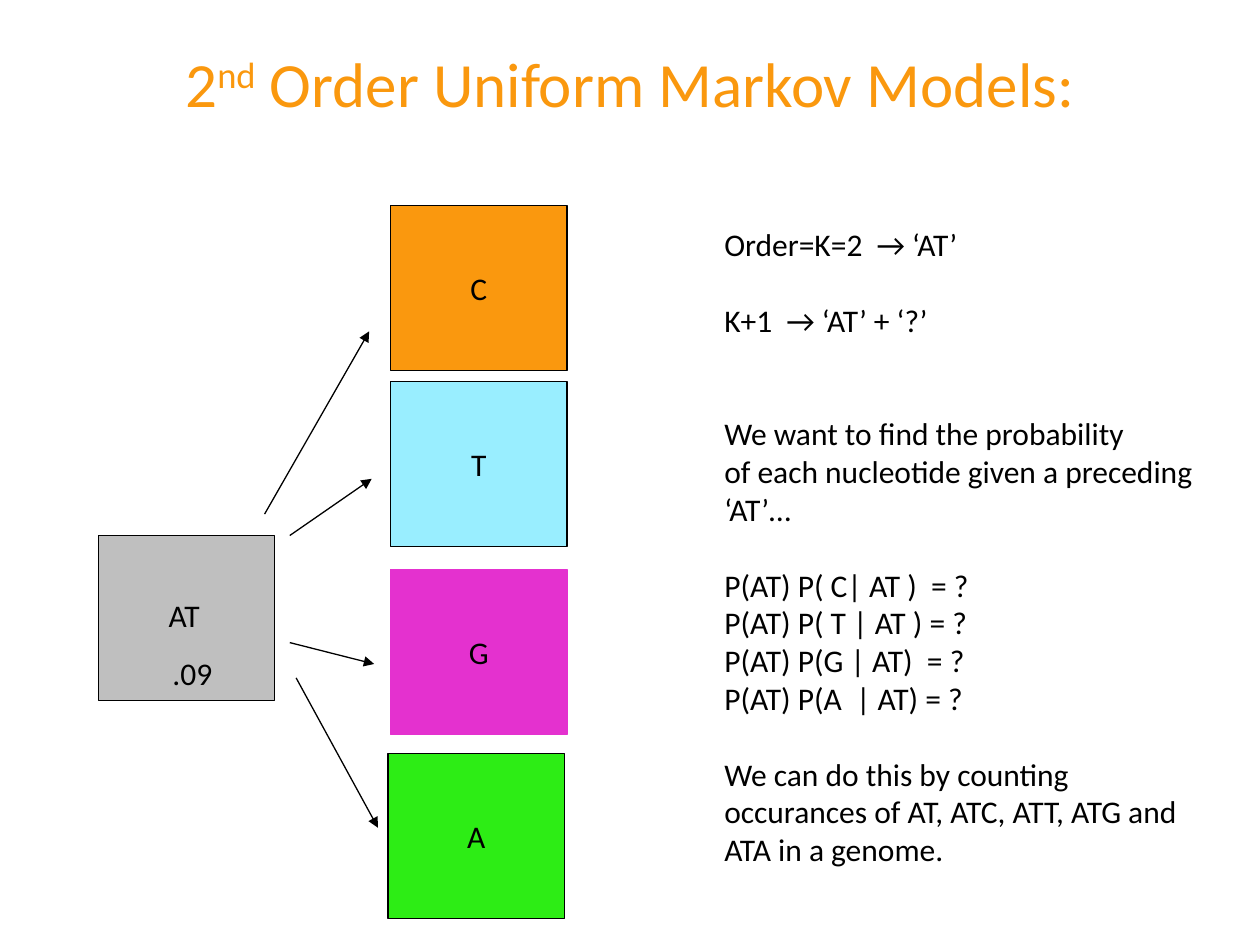
from pptx import Presentation
from pptx.dml.color import RGBColor
from pptx.enum.shapes import MSO_CONNECTOR, MSO_SHAPE
from pptx.enum.text import MSO_ANCHOR, PP_ALIGN
from pptx.oxml.ns import qn
from pptx.util import Inches, Pt
from lxml import etree

FONT = "Calibri"
BLACK = RGBColor(0x00, 0x00, 0x00)
GRAY = RGBColor(0xBF, 0xBF, 0xBF)
ORANGE = RGBColor(0xFA, 0x98, 0x0E)
CYAN = RGBColor(0x99, 0xEE, 0xFF)
MAGENTA = RGBColor(0xE4, 0x31, 0xCF)
GREEN = RGBColor(0x2D, 0xED, 0x15)

LINE_HEIGHT = 21.6
NODE_WIDTH, NODE_HEIGHT = Inches(1.4), Inches(1.31)

NUCLEOTIDES = [
    ("C", 2.32, 0, ORANGE, BLACK),
    ("T", 2.32, 1.4, CYAN, BLACK),
    ("G", 2.32, 2.89, MAGENTA, MAGENTA),
    ("A", 2.3, 4.35, GREEN, BLACK),
]
ARROWS = [
    (1.32, 2.45, 2.15, 1),
    (1.52, 2.62, 2.17, 2.17),
    (1.52, 3.47, 2.19, 3.64),
    (1.57, 3.75, 2.22, 4.94),
]
STATE_LABELS = [("AT", 0.46, 3.05, 0.52), (".09", 0.49, 3.51, 0.55)]

EXPLANATION = [
    ("Order=K=2  → ‘AT’", 0),
    ("K+1  → ‘AT’ + ‘?’", 1),
    ("We want to find the probability", 2),
    ("of each nucleotide given a preceding", 0),
    ("‘AT’…", 0),
    ("P(AT) P( C| AT )  = ?", 1),
    ("P(AT) P( T | AT ) = ?", 0),
    ("P(AT) P(G | AT)  = ?", 0),
    ("P(AT) P(A  | AT) = ?", 0),
    ("We can do this by counting", 1),
    ("occurances of AT, ATC, ATT, ATG and", 0),
    ("ATA in a genome.", 0),
]


def style_paragraph(paragraph, size=18, color=BLACK):
    paragraph.font.name = FONT
    paragraph.font.size = Pt(size)
    paragraph.font.color.rgb = color


def add_title(slide, left, top, width, height):
    title = slide.shapes.title
    title.left, title.top, title.width, title.height = left, top, width, height
    frame = title.text_frame
    frame.vertical_anchor = MSO_ANCHOR.TOP
    paragraph = frame.paragraphs[0]
    paragraph.alignment = PP_ALIGN.CENTER
    for text, baseline in (("2", 0), ("nd", 30000), (" Order Uniform Markov Models:", 0)):
        run = paragraph.add_run()
        run.text = text
        if baseline:
            run._r.get_or_add_rPr().set("baseline", str(baseline))
    style_paragraph(paragraph, 36, ORANGE)


def add_node(slide, left, top, fill, outline, text=""):
    shape = slide.shapes.add_shape(MSO_SHAPE.RECTANGLE, left, top, NODE_WIDTH, NODE_HEIGHT)
    shape.shadow.inherit = False
    shape.fill.solid()
    shape.fill.fore_color.rgb = fill
    shape.line.color.rgb = outline
    shape.line.width = Pt(0.75)
    if text:
        frame = shape.text_frame
        frame.word_wrap = False
        frame.vertical_anchor = MSO_ANCHOR.MIDDLE
        paragraph = frame.paragraphs[0]
        paragraph.text = text
        paragraph.alignment = PP_ALIGN.CENTER
        style_paragraph(paragraph)


def add_arrow(slide, start_x, start_y, end_x, end_y):
    arrow = slide.shapes.add_connector(
        MSO_CONNECTOR.STRAIGHT, start_x, start_y, end_x, end_y)
    arrow.line.color.rgb = BLACK
    arrow.line.width = Pt(0.75)
    etree.SubElement(arrow.line._get_or_add_ln(), qn("a:tailEnd"), type="triangle")
    etree.SubElement(arrow._element.spPr, qn("a:effectLst"))


def add_label(slide, text, left, top, width):
    frame = slide.shapes.add_textbox(left, top, width, Inches(0.4)).text_frame
    frame.word_wrap = False
    frame.text = text
    style_paragraph(frame.paragraphs[0])


def add_transition_diagram(slide, left, top):
    add_node(slide, left, top + Inches(2.62), GRAY, BLACK)
    for text, x, y, fill, outline in NUCLEOTIDES:
        add_node(slide, left + Inches(x), top + Inches(y), fill, outline, text)
    for start_x, start_y, end_x, end_y in ARROWS:
        add_arrow(slide, left + Inches(start_x), top + Inches(start_y),
                  left + Inches(end_x), top + Inches(end_y))
    for text, x, y, width in STATE_LABELS:
        add_label(slide, text, left + Inches(x), top + Inches(y), Inches(width))


def add_explanation(slide, left, top, width, height):
    frame = slide.shapes.add_textbox(left, top, width, height).text_frame
    frame.word_wrap = True
    for index, (text, lines_before) in enumerate(EXPLANATION):
        paragraph = frame.add_paragraph() if index else frame.paragraphs[0]
        paragraph.text = text
        if lines_before:
            paragraph.space_before = Pt(lines_before * LINE_HEIGHT)
        style_paragraph(paragraph)


def main():
    presentation = Presentation()
    presentation.slide_width = Inches(10)
    presentation.slide_height = Inches(7.5)
    slide = presentation.slides.add_slide(presentation.slide_layouts[5])
    add_title(slide, Inches(0.5), Inches(0.3), Inches(9), Inches(1.25))
    add_transition_diagram(slide, Inches(0.78), Inches(1.63))
    add_explanation(slide, Inches(5.65), Inches(1.74), Inches(4.3), Inches(5.4))
    presentation.save("out.pptx")


if __name__ == "__main__":
    main()
